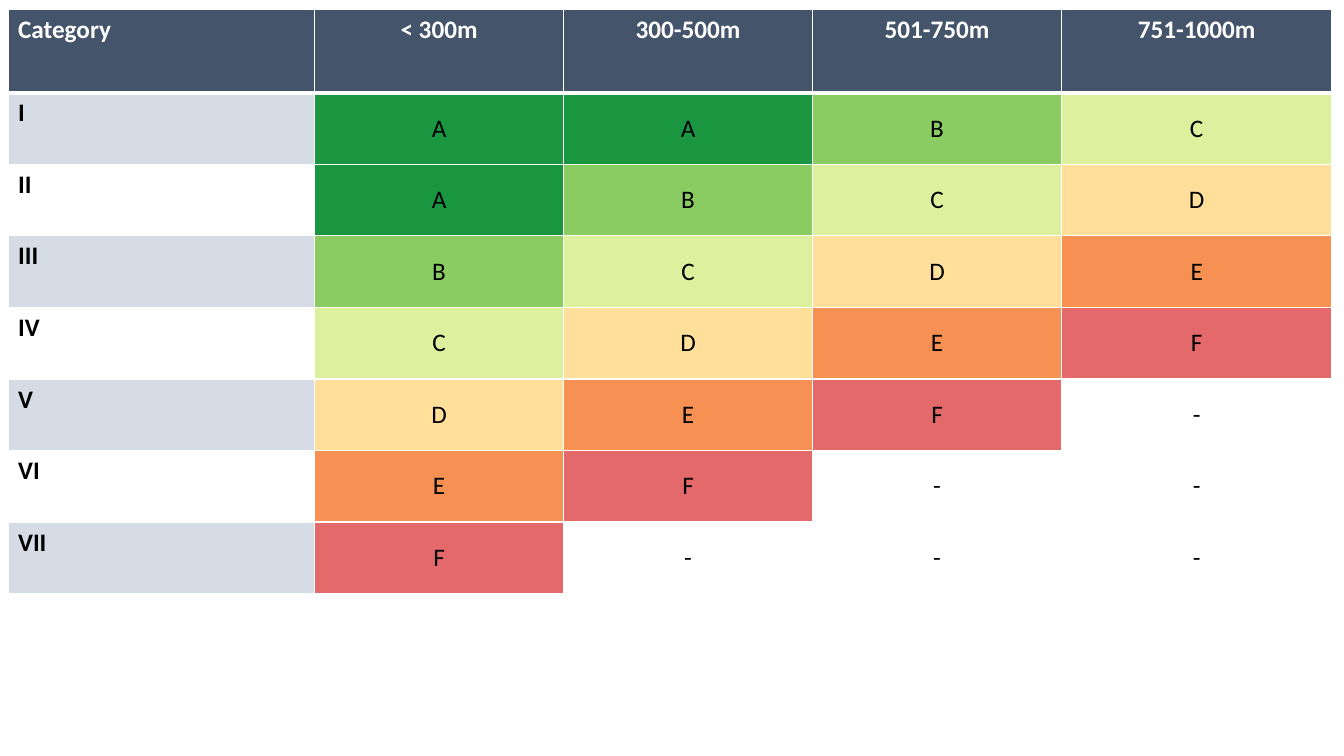
import pptx
import pptx.dml.color
import pptx.enum.text
import pptx.oxml
import pptx.oxml.ns
import pptx.util
from pptx.util import Inches

HEADINGS = ["Category", "< 300m", "300-500m", "501-750m", "751-1000m"]
GRADES = [
    ("I", "A", "A", "B", "C"),
    ("II", "A", "B", "C", "D"),
    ("III", "B", "C", "D", "E"),
    ("IV", "C", "D", "E", "F"),
    ("V", "D", "E", "F", "-"),
    ("VI", "E", "F", "-", "-"),
    ("VII", "F", "-", "-", "-"),
]
COLORS = {
    "header": "44546A", "band": "D6DCE5", "white": "FFFFFF", "black": "000000",
    "A": "1A9641", "B": "8ACC62", "C": "DCF09E", "D": "FFDF9A",
    "E": "F69053", "F": "D7191C", "-": "FFFFFF",
}
F_OPACITY = 65
COLUMN_WIDTHS = [3.04, 2.47, 2.47, 2.47, 2.68]
ROW_HEIGHTS = [0.83] + [0.71] * len(GRADES)


def rgb(name):
    return pptx.dml.color.RGBColor.from_string(COLORS[name])


def fill_cell(cell, name):
    cell.fill.solid()
    cell.fill.fore_color.rgb = rgb(name)
    if name == "F":
        color = cell._tc.tcPr.find(".//" + pptx.oxml.ns.qn("a:srgbClr"))
        alpha = pptx.oxml.parse_xml(
            f'<a:alpha {pptx.oxml.ns.nsdecls("a")} val="{F_OPACITY * 1000}"/>')
        color.append(alpha)


def set_borders(cell, top, bottom):
    widths = {"lnL": 1, "lnR": 1, "lnT": top, "lnB": bottom}
    for index, (side, width) in enumerate(widths.items()):
        line = pptx.oxml.parse_xml(
            f'<a:{side} {pptx.oxml.ns.nsdecls("a")} w="{pptx.util.Pt(width)}">'
            f'<a:solidFill><a:srgbClr val="{COLORS["white"]}"/></a:solidFill></a:{side}>')
        cell._tc.get_or_add_tcPr().insert(index, line)


def write_cell(cell, text, row, column):
    is_header, is_label = row == 0, column == 0
    cell.text = text
    para = cell.text_frame.paragraphs[0]
    para.font.name = "Calibri"
    para.font.size = pptx.util.Pt(18)
    para.font.bold = is_header or is_label
    para.font.color.rgb = rgb("white" if is_header else "black")
    if not is_label:
        para.alignment = pptx.enum.text.PP_ALIGN.CENTER
    if not is_header and not is_label:
        cell.vertical_anchor = pptx.enum.text.MSO_ANCHOR.MIDDLE
    if is_header:
        fill_cell(cell, "header")
    elif is_label:
        fill_cell(cell, "band" if row % 2 else "white")
    else:
        fill_cell(cell, text)
    set_borders(cell, 3 if row == 1 else 1, 3 if is_header else 1)


def main():
    deck = pptx.Presentation()
    deck.slide_width, deck.slide_height = Inches(13.33), Inches(7.5)
    page = deck.slides.add_slide(deck.slide_layouts[6])
    rows = [HEADINGS] + GRADES
    table = page.shapes.add_table(
        len(rows), len(HEADINGS), Inches(0.08), Inches(0.09),
        Inches(sum(COLUMN_WIDTHS)), Inches(sum(ROW_HEIGHTS))).table
    for column, width in zip(table.columns, COLUMN_WIDTHS):
        column.width = Inches(width)
    for row, height in zip(table.rows, ROW_HEIGHTS):
        row.height = Inches(height)
    for row, texts in enumerate(rows):
        for column, text in enumerate(texts):
            write_cell(table.cell(row, column), text, row, column)
    deck.save("out.pptx")


if __name__ == "__main__":
    main()
